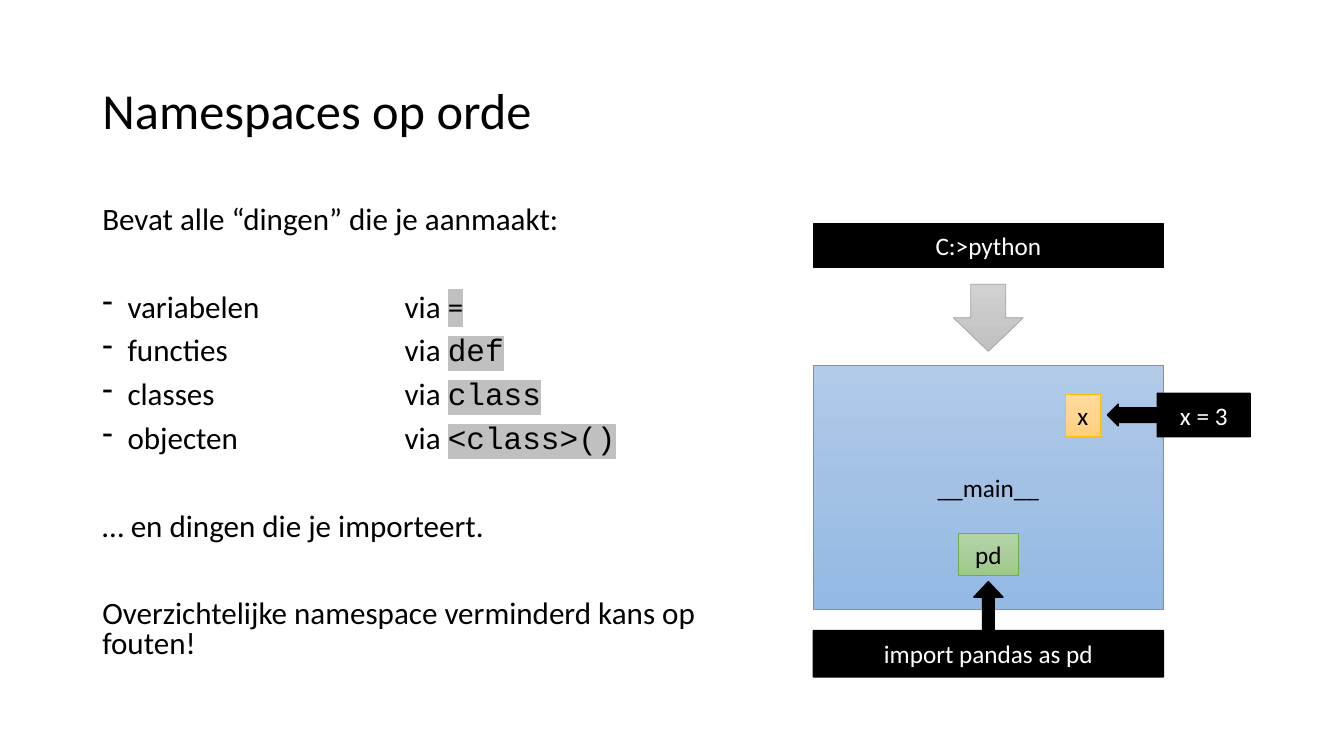
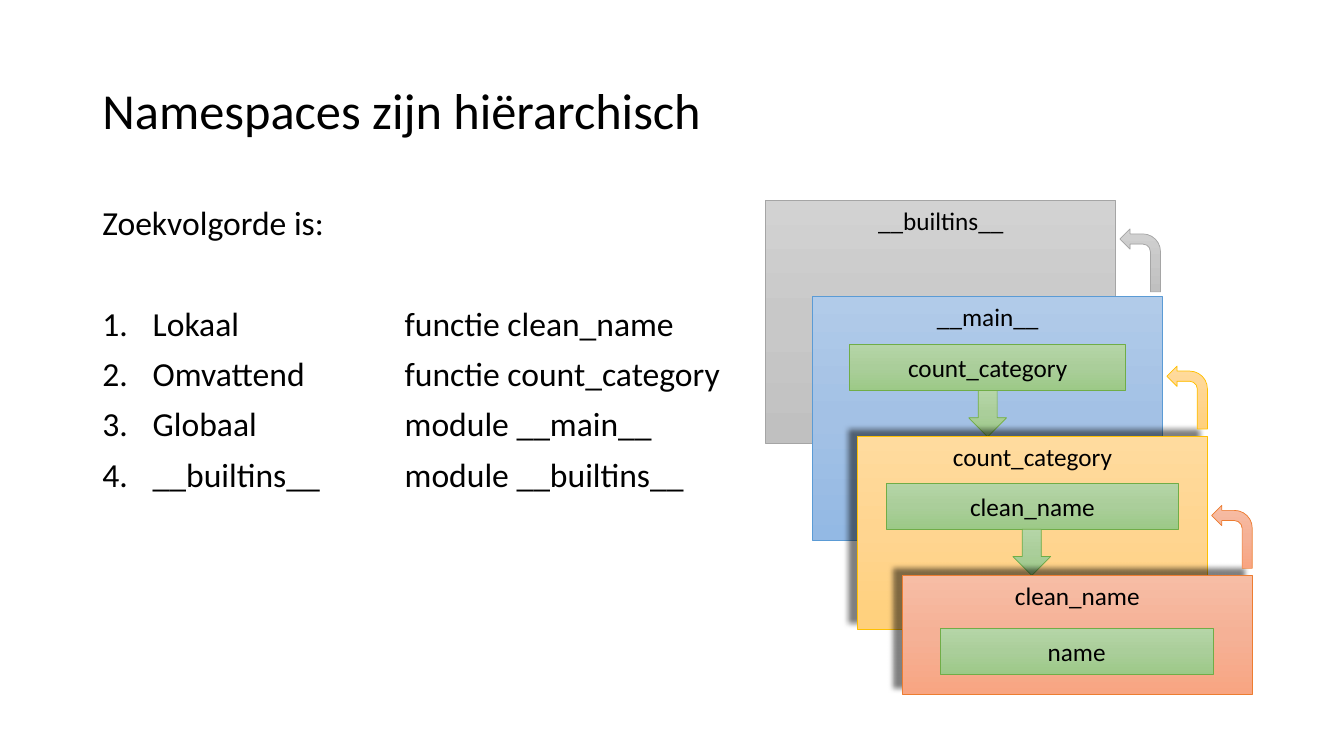
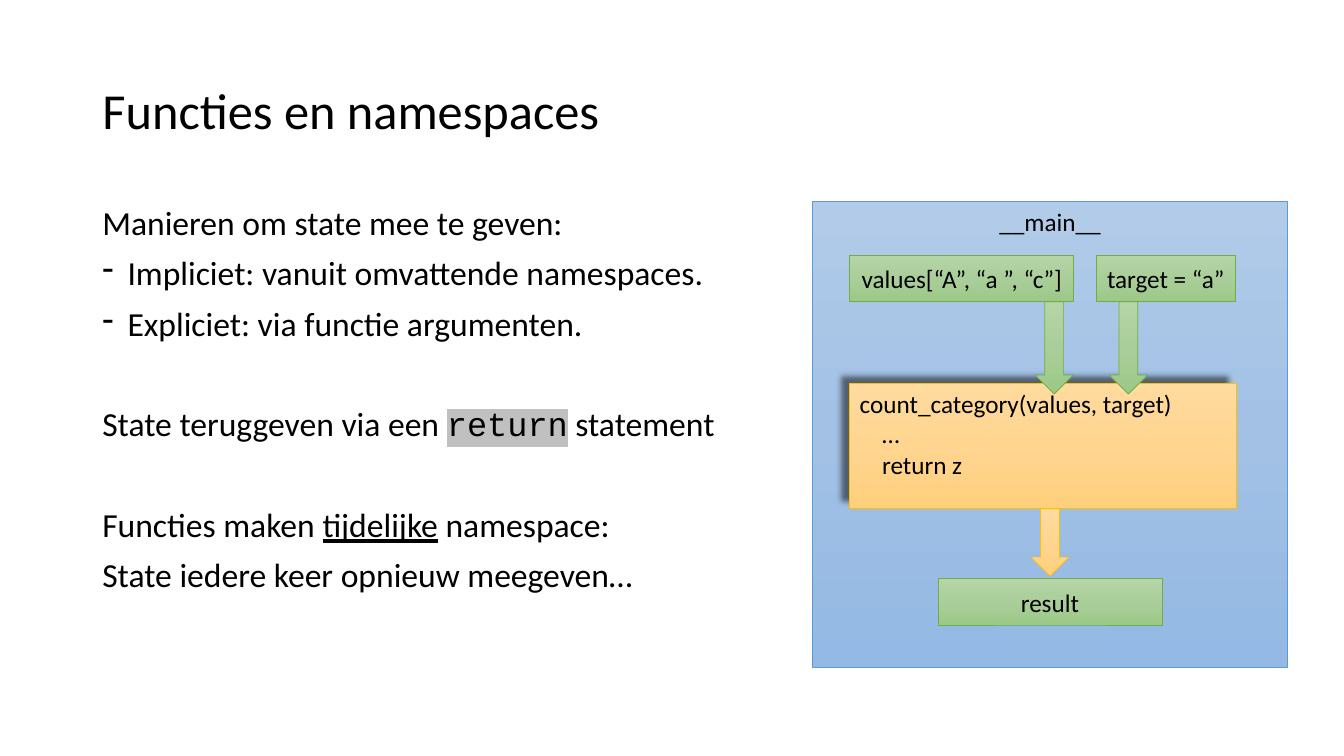
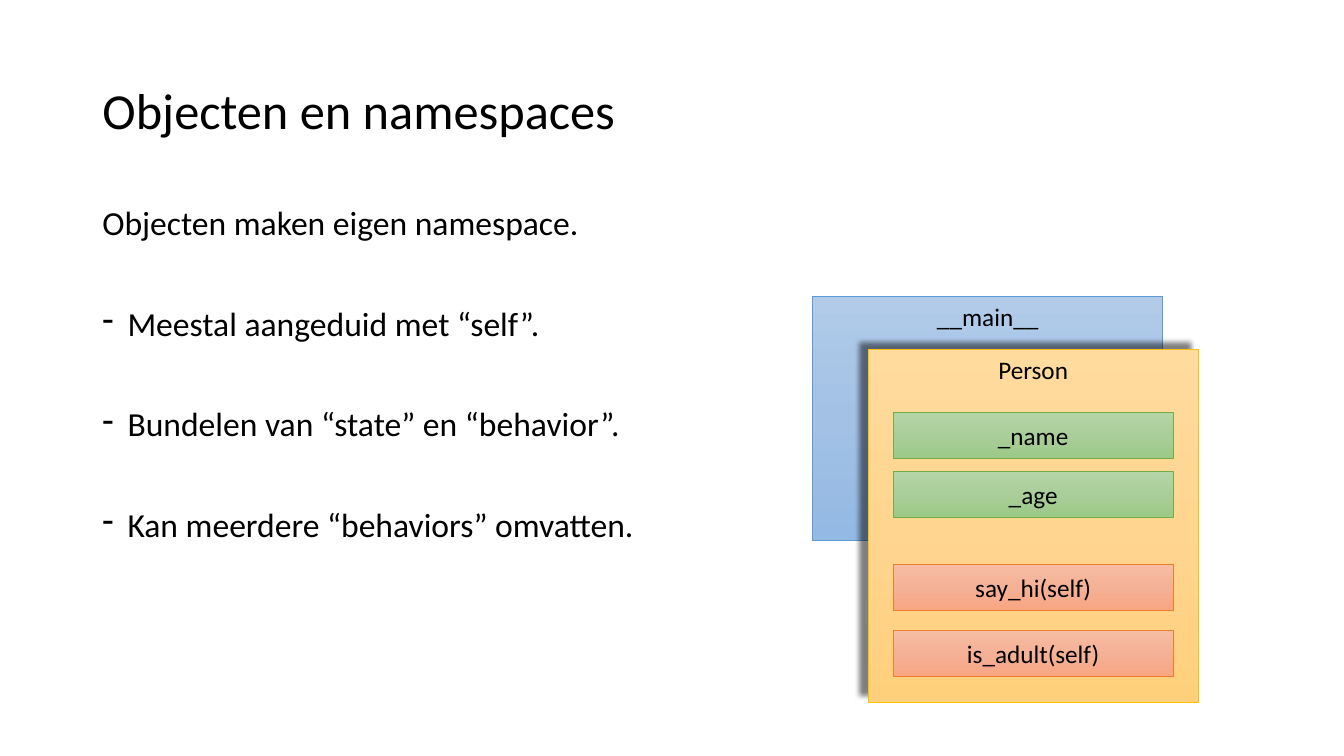
"""Build four slides on Python namespaces, functions and objects."""
from copy import deepcopy
from dataclasses import dataclass

from lxml import etree
from pptx import Presentation
from pptx.dml import color
from pptx.enum import shapes, text
from pptx.oxml import ns
from pptx.util import Pt

BODY_FONT, CODE_FONT = "Calibri", "Courier New"
BLACK, WHITE, MARK = "000000", "FFFFFF", "C0C0C0"
BOX = shapes.MSO_SHAPE.RECTANGLE
DOWN = shapes.MSO_SHAPE.DOWN_ARROW
BENT = shapes.MSO_SHAPE.BENT_ARROW
LEFT_CALLOUT = shapes.MSO_SHAPE.LEFT_ARROW_CALLOUT
UP_CALLOUT = shapes.MSO_SHAPE.UP_ARROW_CALLOUT
COLUMN_TAB = 216
FRAME_W, FRAME_H = 250, 174
SLOT_H = 33
ARROW_W = 27


@dataclass(frozen=True)
class Paint:
    stops: tuple[str, ...]
    line: str
    width: float = 0.5
    ink: str = BLACK


BLUE = Paint(("B1CBE9", "A3C1E5", "93B9E4"), "5B9BD5")
GRAY = Paint(("D2D2D2", "C8C8C8", "C0C0C0"), "A5A5A5")
GREEN = Paint(("B5D5A7", "AACE9A", "9CC987"), "70AD47")
YELLOW = Paint(("FFDB9E", "FFD590", "FFD07C"), "FFC000")
ORANGE = Paint(("F7BDA5", "F5B196", "F8A582"), "ED7D31")
CONSOLE = Paint((BLACK,), BLACK, 1, WHITE)


@dataclass(frozen=True)
class Part:
    paint: Paint
    left: float
    top: float
    width: float
    height: float
    label: str = ""
    form: shapes.MSO_SHAPE = BOX
    heading: bool = False
    raised: bool = False
    mirrored: bool = False
    adjust: tuple[float, ...] = ()
    code: tuple[str, ...] = ()


@dataclass(frozen=True)
class Run:
    words: str
    font: str = ""
    marked: bool = False
    underlined: bool = False


@dataclass(frozen=True)
class Line:
    runs: tuple[Run, ...]
    bullet: str = ""
    apart: bool = False


@dataclass(frozen=True)
class Body:
    lines: tuple[Line, ...]
    height: float
    size: float = 24
    spacing: float = 0.9
    blank: float = 36


@dataclass(frozen=True)
class Page:
    title: str
    body: Body
    diagram: tuple[Part, ...]


def rgb(value: str) -> color.RGBColor:
    """Turn a hex string into a colour."""
    return color.RGBColor.from_string(value)


def child(parent, tag: str, **attributes: str):
    """Append a DrawingML element."""
    return etree.SubElement(parent, ns.qn(tag), attributes)


def style(font, size: float, ink: str) -> None:
    """Set the shared typeface with a size and colour."""
    font.name, font.size = BODY_FONT, Pt(size)
    font.color.rgb = rgb(ink)


def paint_fill(shape, paint: Paint) -> None:
    """Fill a shape evenly or with a gradient from top to bottom."""
    if len(paint.stops) == 1:
        shape.fill.solid()
        shape.fill.fore_color.rgb = rgb(paint.stops[0])
        return
    shape.fill.gradient()
    shape.fill.gradient_angle = 270
    stop_list = shape._element.spPr.find(".//" + ns.qn("a:gsLst"))
    stop_list.insert(1, deepcopy(stop_list[0]))
    for index, (stop, value) in enumerate(zip(shape.fill.gradient_stops, paint.stops)):
        stop.position = index / 2
        stop.color.rgb = rgb(value)


def cast_shadow(shape) -> None:
    """Throw a soft shadow up and to the left."""
    effects = shape._element.spPr.find(ns.qn("a:effectLst"))
    shadow = child(effects, "a:outerShdw", blurRad=str(Pt(4)), dist=str(Pt(8)),
                   dir=str(220 * 60000), algn="br", rotWithShape="0")
    tint = child(shadow, "a:srgbClr", val=BLACK)
    child(tint, "a:alpha", val="50000")


def write_label(shape, part: Part) -> None:
    """Write the centred label, or the code lines, of a part."""
    frame = shape.text_frame
    frame.word_wrap = True
    top = part.heading or part.code
    frame.vertical_anchor = text.MSO_ANCHOR.TOP if top else text.MSO_ANCHOR.MIDDLE
    frame.text = "\n".join(part.code) or part.label
    for index, paragraph in enumerate(frame.paragraphs):
        paragraph.alignment = text.PP_ALIGN.LEFT if part.code else text.PP_ALIGN.CENTER
        if part.code and index:
            paragraph._p.get_or_add_pPr().set("marL", str(Pt(16)))
        style(paragraph.font, 18, part.paint.ink)


def draw_part(slide, part: Part) -> None:
    """Draw one part of a namespace diagram."""
    shape = slide.shapes.add_shape(
        part.form, Pt(part.left), Pt(part.top), Pt(part.width), Pt(part.height))
    for index, value in enumerate(part.adjust):
        shape.adjustments[index] = value
    paint_fill(shape, part.paint)
    shape.line.color.rgb = rgb(part.paint.line)
    shape.line.width = Pt(part.paint.width)
    shape.shadow.inherit = False
    if part.raised:
        cast_shadow(shape)
    if part.mirrored:
        shape._element.spPr.xfrm.set("flipH", "1")
    if part.label or part.code:
        write_label(shape, part)


def set_bullet(paragraph, bullet: str) -> None:
    """Give a paragraph a hanging dash or number and a column tab."""
    indent = Pt(18 if bullet == "-" else 36)
    properties = paragraph._p.get_or_add_pPr()
    properties.set("marL", str(indent))
    properties.set("indent", str(-indent))
    if bullet == "-":
        child(properties, "a:buChar", char=bullet)
    else:
        child(properties, "a:buAutoNum", type="arabicPeriod")
    tabs = child(properties, "a:tabLst")
    child(tabs, "a:tab", pos=str(Pt(COLUMN_TAB)), algn="l")


def write_run(paragraph, part: Run) -> None:
    """Add a run with its own emphasis."""
    run = paragraph.add_run()
    run.text = part.words
    if part.marked:
        highlight = child(run._r.get_or_add_rPr(), "a:highlight")
        child(highlight, "a:srgbClr", val=MARK)
    if part.font:
        run.font.name = part.font
    if part.underlined:
        run.font.underline = True


def write_body(slide, body: Body) -> None:
    """Write the explanation on the left."""
    frame = slide.shapes.add_textbox(Pt(66), Pt(144), Pt(480), Pt(body.height)).text_frame
    frame.word_wrap = True
    for index, line in enumerate(body.lines):
        paragraph = frame.add_paragraph() if index else frame.paragraphs[0]
        if line.bullet:
            set_bullet(paragraph, line.bullet)
        paragraph.line_spacing = body.spacing
        paragraph.space_before = Pt(10 + body.blank * line.apart)
        style(paragraph.font, body.size, BLACK)
        for run in line.runs:
            write_run(paragraph, run)


def write_title(slide, words: str) -> None:
    """Place and format the title."""
    title = slide.shapes.title
    title.left, title.top, title.width, title.height = Pt(66), Pt(29), Pt(828), Pt(104)
    title.text_frame.text = words
    title.text_frame.vertical_anchor = text.MSO_ANCHOR.MIDDLE
    paragraph = title.text_frame.paragraphs[0]
    paragraph.alignment = text.PP_ALIGN.LEFT
    paragraph.line_spacing = 0.9
    style(paragraph.font, 36, BLACK)


def plain(words: str, bullet: str = "", apart: bool = False) -> Line:
    """Make a line without emphasis."""
    return Line((Run(words),), bullet, apart)


def maker(kind: str, code: str, font: str = CODE_FONT, apart: bool = False) -> Line:
    """Make a line that names a thing and the code that creates it."""
    return Line((Run(f"{kind}\tvia "), Run(code, font, marked=True)), "-", apart)


def frame_part(paint: Paint, left: float, top: float, label: str,
               height: float = FRAME_H, raised: bool = False) -> Part:
    """Make a namespace frame with its name at the top."""
    return Part(paint, left, top, FRAME_W, height, label, heading=True, raised=raised)


def slot(left: float, top: float, width: float, label: str, paint: Paint = GREEN) -> Part:
    """Make a named thing inside a namespace."""
    return Part(paint, left, top, width, SLOT_H, label)


def down(left: float, top: float, height: float = SLOT_H, paint: Paint = GREEN) -> Part:
    """Make a narrow arrow pointing down."""
    return Part(paint, left, top, ARROW_W, height, form=DOWN)


def back(left: float, top: float, paint: Paint) -> Part:
    """Make a bent arrow to the enclosing namespace."""
    return Part(paint, left, top, 29, 45, form=BENT, mirrored=True)


MAIN_FRAME = frame_part(BLUE, 580.5, 212, "__main__")

TIDY = Page(
    "Namespaces op orde",
    Body((
        plain("Bevat alle “dingen” die je aanmaakt:"),
        maker("variabelen", "=", BODY_FONT, apart=True),
        maker("functies", "def"),
        maker("classes", "class"),
        maker("objecten", "<class>()"),
        plain("… en dingen die je importeert.", apart=True),
        plain("Overzichtelijke namespace verminderd kans op fouten!", apart=True),
    ), 343, size=22.2, spacing=0.8, blank=31.3),
    (
        Part(BLUE, 581, 261, FRAME_W, FRAME_H, "__main__"),
        Part(GRAY, 681, 203, 50, 48, form=DOWN),
        Part(CONSOLE, 581, 160, FRAME_W, 31, "C:>python"),
        Part(CONSOLE, 791, 281, 102, 31, "x = 3", LEFT_CALLOUT,
             adjust=(0.336, 0.25, 0.25, 0.65)),
        Part(YELLOW, 761, 281.5, 25, 30, "x"),
        Part(CONSOLE, 581, 415.5, FRAME_W, 68, "import pandas as pd", UP_CALLOUT,
             adjust=(0.122, 0.153, 0.162, 0.486)),
        Part(GREEN, 684.5, 381, 43, 30, "pd"),
    ))

HIERARCHY = Page(
    "Namespaces zijn hiërarchisch",
    Body((
        plain("Zoekvolgorde is:"),
        plain("Lokaal\tfunctie clean_name", "1.", apart=True),
        plain("Omvattend\tfunctie count_category", "1."),
        plain("Globaal\tmodule __main__", "1."),
        plain("__builtins__\tmodule __builtins__", "1."),
    ), 250),
    (
        frame_part(GRAY, 547, 143, "__builtins__"),
        MAIN_FRAME,
        slot(607, 246, 197, "count_category"),
        down(692, 279),
        frame_part(YELLOW, 612.5, 312, "count_category", 137.5, raised=True),
        slot(633.5, 345, 208, "clean_name"),
        down(723.5, 378),
        frame_part(ORANGE, 644.5, 411, "clean_name", 85, raised=True),
        slot(671.5, 449, 195, "name"),
        back(865.5, 361, ORANGE),
        back(833.5, 261.5, YELLOW),
        back(800, 163.5, GRAY),
    ))

FUNCTIONS = Page(
    "Functies en namespaces",
    Body((
        plain("Manieren om state mee te geven:"),
        plain("Impliciet: vanuit omvattende namespaces.", "-"),
        plain("Expliciet: via functie argumenten.", "-"),
        Line((Run("State teruggeven via een "), Run("return", CODE_FONT, marked=True),
              Run(" statement")), apart=True),
        Line((Run("Functies maken "), Run("tijdelijke", underlined=True),
              Run(" namespace:")), apart=True),
        plain("State iedere keer opnieuw meegeven…"),
    ), 367),
    (
        Part(BLUE, 580.5, 144, 339, 333, "__main__", heading=True),
        slot(607, 182.5, 160, "values[“A”, “a ”, “c”]"),
        Part(YELLOW, 607, 274, 276, 89, raised=True,
             code=("count_category(values, target)", "…", "return z")),
        slot(783, 182.5, 99.5, "target = “a”"),
        down(739.5, 215.5, 66),
        down(792.5, 215.5, 66),
        down(736.5, 363.5, 48, YELLOW),
        slot(670, 413.5, 160, "result"),
    ))

MEMBERS = (("_name", 294.5, GREEN), ("_age", 336.5, GREEN),
           ("say_hi(self)", 403, ORANGE), ("is_adult(self)", 450.5, ORANGE))

OBJECTS = Page(
    "Objecten en namespaces",
    Body((
        plain("Objecten maken eigen namespace."),
        plain("Meestal aangeduid met “self”.", "-", apart=True),
        plain("Bundelen van “state” en “behavior”.", "-", apart=True),
        plain("Kan meerdere “behaviors” omvatten.", "-", apart=True),
    ), 367),
    (
        MAIN_FRAME,
        Part(YELLOW, 620, 249.5, 236, 252, "Person", heading=True, raised=True),
        *(slot(638, top, 200, label, paint) for label, top, paint in MEMBERS),
    ))


def main() -> None:
    """Build and save the presentation."""
    deck = Presentation()
    deck.slide_width, deck.slide_height = Pt(960), Pt(540)
    title_only = deck.slide_layouts[5]
    for page in (TIDY, HIERARCHY, FUNCTIONS, OBJECTS):
        slide = deck.slides.add_slide(title_only)
        write_title(slide, page.title)
        write_body(slide, page.body)
        for part in page.diagram:
            draw_part(slide, part)
    deck.save("out.pptx")


main()
